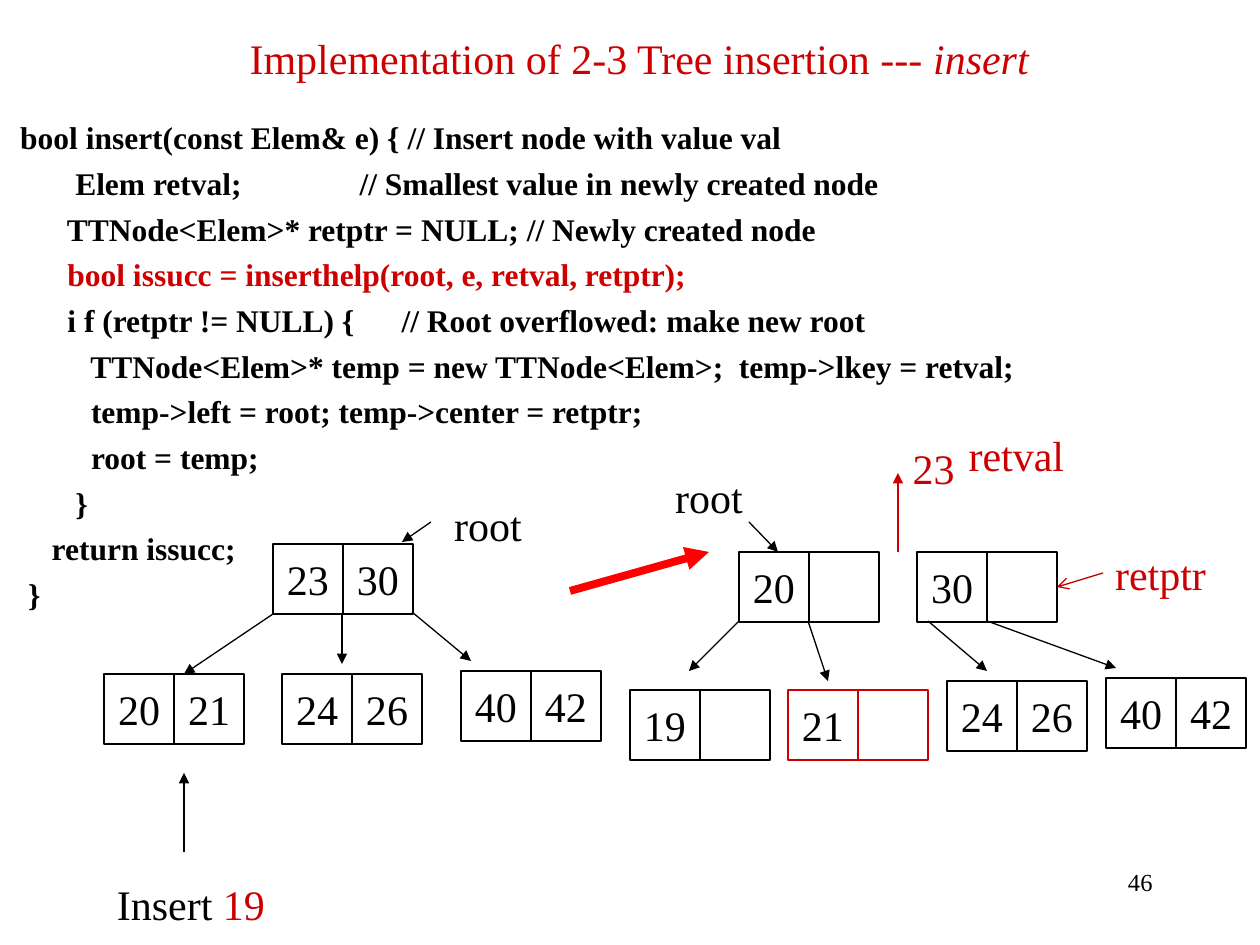
from lxml.etree import SubElement
from pptx import Presentation
from pptx.dml.color import RGBColor
from pptx.enum.shapes import MSO_CONNECTOR as CONNECTOR, MSO_SHAPE as SHAPE
from pptx.enum.text import MSO_ANCHOR as ANCHOR, PP_ALIGN as ALIGN
from pptx.oxml.ns import qn
from pptx.util import Emu, Pt

THEME = {
    "font": "Times New Roman",
    "black": RGBColor(0x00, 0x00, 0x00),
    "red": RGBColor(0xCC, 0x00, 0x00),
    "bright": RGBColor(0xFF, 0x00, 0x00),
    "dark_red": RGBColor(0xC0, 0x00, 0x00),
    "label": Pt(24),
    "code": Pt(18),
    "number": Pt(14),
    "thin": Pt(0.75),
    "thick": Pt(4.5),
}
PIXEL = 914400 / 126
CELL = 70


def px(*values):
    return [Emu(round(value * PIXEL)) for value in values]


def write(paragraph, runs, size="label", align=ALIGN.CENTER, **extra):
    paragraph.alignment = align
    for text, color in runs:
        run = paragraph.add_run()
        run.text = text
        run.font.color.rgb = THEME[color]
        formats = {"name": THEME["font"], "size": THEME[size], **extra}
        for name, value in formats.items():
            setattr(run.font, name, value)


presentation = Presentation()
presentation.slide_width, presentation.slide_height = px(1260, 945)
slide = presentation.slides.add_slide(presentation.slide_layouts[6])
shapes = slide.shapes

number = shapes.add_textbox(*px(903, 861, 262, 63))
write(number.text_frame.paragraphs[0], [("46", "black")], "number", ALIGN.RIGHT)

code_lines = [
    " bool insert(const Elem& e) { // Insert node with value val",
    "        Elem retval;               // Smallest value in newly created node",
    "       TTNode<Elem>* retptr = NULL; // Newly created node",
    "       bool issucc = inserthelp(root, e, retval, retptr);",
    "       i f (retptr != NULL) {      // Root overflowed: make new root",
    "          TTNode<Elem>* temp = new TTNode<Elem>;  temp->lkey = retval;",
    "          temp->left = root; temp->center = retptr;",
    "          root = temp;",
    "        }",
    "     return issucc;",
    "  }",
]
code = shapes.add_textbox(*px(0, 112, 1260, 833)).text_frame
code.word_wrap = True
for index, line in enumerate(code_lines):
    paragraph = code.add_paragraph() if index else code.paragraphs[0]
    if index:
        paragraph.space_before = Pt(4.5)
    color = "red" if "inserthelp" in line else "black"
    write(paragraph, [(line, color)], "code", ALIGN.LEFT, bold=True)

title = shapes.add_textbox(*px(236, 26, 817, 63)).text_frame
title.word_wrap = False
write(title.paragraphs[0], [("Implementation of 2-3 Tree insertion --- ", "red")])
write(title.paragraphs[0], [("insert ", "red")], italic=True)

nodes = [
    (273, 544, ("23", "30"), "black"),
    (104, 674, ("20", "21"), "black"),
    (282, 674, ("24", "26"), "black"),
    (461, 671, ("40", "42"), "black"),
    (739, 552, ("20", ""), "black"),
    (917, 552, ("30", ""), "black"),
    (630, 690, ("19", ""), "black"),
    (788, 690, ("21", ""), "red"),
    (947, 681, ("24", "26"), "black"),
    (1106, 678, ("40", "42"), "black"),
]
for left, top, keys, outline in nodes:
    for column, key in enumerate(keys):
        cell = shapes.add_shape(
            SHAPE.RECTANGLE, *px(left + column * CELL, top, CELL, CELL))
        cell.shadow.inherit = False
        cell.fill.background()
        cell.line.color.rgb = THEME[outline]
        cell.line.width = THEME["thin"]
        if key:
            cell.text_frame.word_wrap = False
            cell.text_frame.vertical_anchor = ANCHOR.MIDDLE
            write(cell.text_frame.paragraphs[0], [(key, "black")])

arrows = [
    (273, 614, 184, 674, "black", "thin", "triangle"),
    (342, 614, 342, 664, "black", "thin", "triangle"),
    (412, 612, 471, 661, "black", "thin", "triangle"),
    (184, 852, 184, 773, "black", "thin", "triangle"),
    (431, 522, 402, 542, "black", "thin", "triangle"),
    (570, 591, 709, 552, "bright", "thick", "triangle"),
    (739, 621, 689, 671, "black", "thin", "triangle"),
    (808, 621, 828, 681, "black", "thin", "triangle"),
    (928, 621, 987, 671, "black", "thin", "triangle"),
    (987, 621, 1116, 668, "black", "thin", "triangle"),
    (749, 522, 778, 552, "black", "thin", "triangle"),
    (898, 552, 898, 473, "red", "thin", "triangle"),
    (1103, 573, 1057, 587, "dark_red", "thin", "arrow"),
]
for *ends, color, width, head in arrows:
    arrow = shapes.add_connector(CONNECTOR.STRAIGHT, *px(*ends))
    arrow.line.color.rgb = THEME[color]
    arrow.line.width = THEME[width]
    SubElement(arrow.line._get_or_add_ln(), qn("a:tailEnd"), type=head)
    SubElement(arrow._element.spPr, qn("a:effectLst"))

labels = [
    (102, 872, 178, [("Insert ", "black"), ("19", "red")]),
    (438, 493, 100, [("root", "black")]),
    (659, 465, 100, [("root", "black")]),
    (898, 436, 71, [("23", "red")]),
    (954, 423, 125, [("retval", "red")]),
    (1100, 542, 121, [("retptr", "red")]),
]
for left, top, width, runs in labels:
    label = shapes.add_textbox(*px(left, top, width, 63)).text_frame
    label.word_wrap = False
    write(label.paragraphs[0], runs)

presentation.save("out.pptx")
